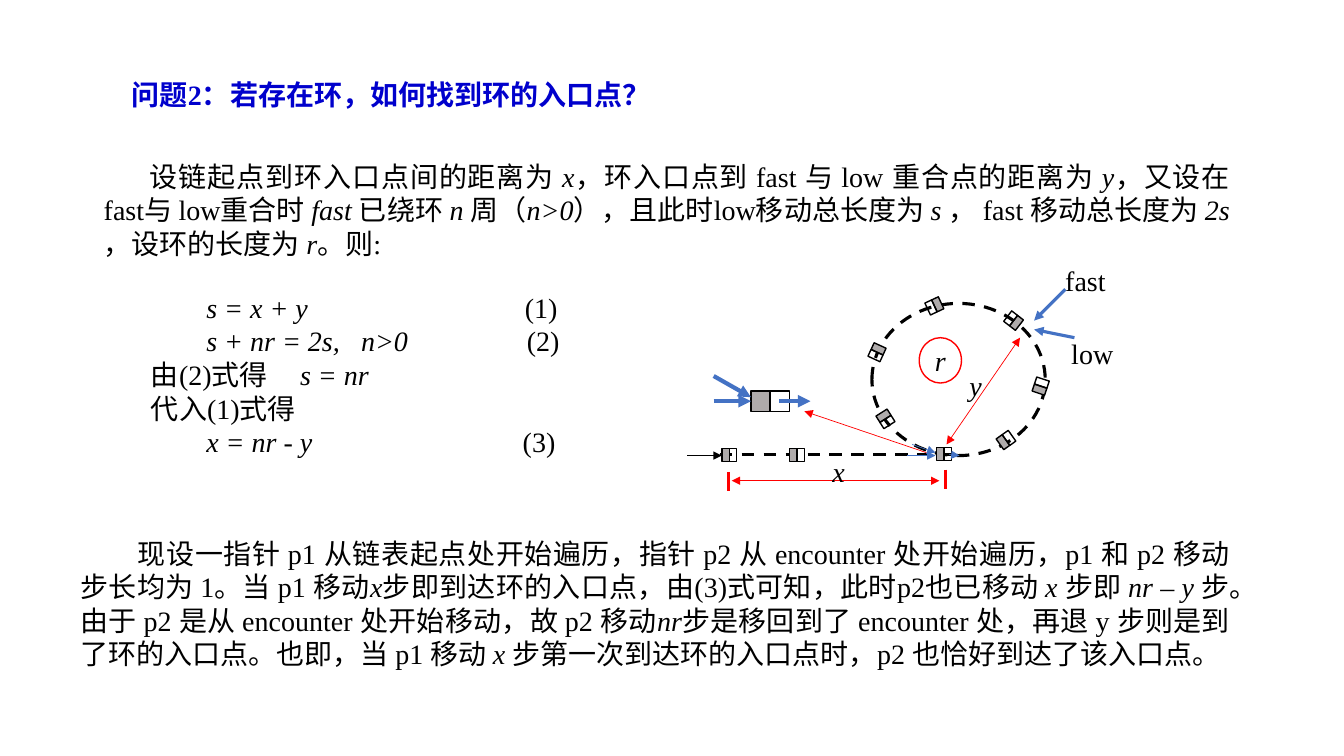
from math import cos, radians, sin

from lxml import etree
from pptx import Presentation
from pptx.dml.color import RGBColor
from pptx.enum.dml import MSO_LINE
from pptx.enum.shapes import MSO_CONNECTOR, MSO_SHAPE
from pptx.enum.text import MSO_ANCHOR, MSO_AUTO_SIZE, PP_ALIGN
from pptx.oxml.ns import qn
from pptx.util import Pt

RECT, OVAL = MSO_SHAPE.RECTANGLE, MSO_SHAPE.OVAL
STRAIGHT, DASH = MSO_CONNECTOR.STRAIGHT, MSO_LINE.DASH
LEFT, CENTER, JUSTIFY = PP_ALIGN.LEFT, PP_ALIGN.CENTER, PP_ALIGN.JUSTIFY
MIDDLE, GROW = MSO_ANCHOR.MIDDLE, MSO_AUTO_SIZE.SHAPE_TO_FIT_TEXT

BLACK = RGBColor(0x00, 0x00, 0x00)
TITLE_BLUE = RGBColor(0x00, 0x00, 0xCC)
POINTER_BLUE = RGBColor(0x44, 0x72, 0xC4)
RED = RGBColor(0xFF, 0x00, 0x00)
GREY = RGBColor(0xAF, 0xAB, 0xAB)
FONT, SIZE = "Times New Roman", 20

# Text content: parts between asterisks are italic
TITLE = "问题2：若存在环，如何找到环的入口点？"
SETUP = (
    "设链起点到环入口点间的距离为 *x*，环入口点到 fast 与 low 重合点的距离为 *y*，"
    "又设在 fast与 low重合时 *fast *已绕环 *n *周（*n>0*），且此时low移动总长度为 *s *，"
    " fast 移动总长度为 *2s *，设环的长度为 *r*。则:"
)
EQUATIONS = [
    # text, tab stops
    ("\t*s = x + y*\t(1)", (39.5, 267)),
    ("\t*s + nr = 2s,*\t*n>0*\t(2)", (39.5, 150, 268.5)),
    ("由(2)式得\t*s = nr*", (106.5,)),
    ("代入(1)式得", ()),
    ("\t*x = nr - y*\t(3)", (39.5, 265.5)),
]
CONCLUSION = (
    "现设一指针 p1 从链表起点处开始遍历，指针 p2 从 encounter 处开始遍历，"
    "p1 和 p2 移动步长均为 1。当 p1 移动*x*步即到达环的入口点，由(3)式可知，"
    "此时p2也已移动 *x *步即 *nr – y *步。由于 p2 是从 encounter 处开始移动，"
    "故 p2 移动*nr*步是移回到了 encounter 处，再退 y 步则是到了环的入口点。"
    "也即，当 p1 移动 *x *步第一次到达环的入口点时，p2 也恰好到达了该入口点。"
)
LABELS = [
    # text, left, top, width, wrap
    ("fast", 753.8, 185, 49, False),
    (" low", 753.1, 236.9, 61.2, True),
    ("*x*", 587.5, 321.1, 18, True),
    ("*y*", 685.4, 259.9, 23.8, False),
]

# Diagram content
RING = (622.8, 216.7, 123.8, 108.7)
RING_LABEL = (656.6, 241.2, 30.2, 32.4)
CELL, ENLARGED_CELL = (5.3, 9.4), (13.7, 14.4)
NODES = [
    # centre x, centre y, rotation, cell size
    (626.4, 251.6, 114.6, CELL),
    (667.4, 218.5, 154.9, CELL),
    (724, 229, 217.6, CELL),
    (743.4, 275.8, 288.3, CELL),
    (718.6, 314.3, 324.6, CELL),
    (674.3, 324.4, 0, CELL),
    (569.2, 325.1, 0, CELL),
    (520.9, 325.1, 0, CELL),
    (632.5, 299.2, 57.7, CELL),
    (550.1, 286.6, 0, ENLARGED_CELL),
]
TAIL_LINE = (514.1, 324.7, 681.8, 324.7)
LINES = [
    # from x, from y, to x, to y, colour, width, ends with arrowheads
    (491, 325.4, 515.5, 325.4, BLACK, 0.5, ("tailEnd",)),
    (678.2, 324.7, 685.4, 325.4, POINTER_BLUE, 0.5, ("tailEnd",)),
    (651.6, 317.5, 668.2, 323.3, POINTER_BLUE, 0.5, ("tailEnd",)),
    (648, 325.4, 668.2, 325.4, POINTER_BLUE, 0.5, ("tailEnd",)),
    (509.8, 268.6, 536.4, 283.7, POINTER_BLUE, 3, ("tailEnd",)),
    (509.8, 286.6, 536.4, 286.6, POINTER_BLUE, 3, ("tailEnd",)),
    (556.6, 286.6, 578.9, 286.6, POINTER_BLUE, 3, ("tailEnd",)),
    (761, 206.6, 738.7, 229, POINTER_BLUE, 2.25, ("tailEnd",)),
    (767.5, 241.2, 738.7, 235.4, POINTER_BLUE, 2.25, ("tailEnd",)),
    (661.7, 323.3, 574.6, 293.8, RED, 0.5, ("tailEnd",)),
    (520.6, 337, 520.6, 350.6, RED, 2.25, ()),
    (675.4, 335.5, 675.4, 349.2, RED, 2.25, ()),
    (522.7, 343.4, 671, 343.4, RED, 0.5, ("headEnd", "tailEnd")),
    (676.1, 317.5, 728.6, 241.2, RED, 0.5, ("headEnd", "tailEnd")),
]

prs = Presentation()
prs.slide_width, prs.slide_height = Pt(960), Pt(540)
slide = prs.slides.add_slide(prs.slide_layouts[6])
shapes = slide.shapes


def write(paragraph, text, color=BLACK, bold=False):
    for index, part in enumerate(text.split("*")):
        if part:
            run = paragraph.add_run()
            run.text = part
            run.font.name, run.font.size = FONT, Pt(SIZE)
            run.font.color.rgb = color
            run.font.bold, run.font.italic = bold, index % 2 == 1


def add_text_box(left, top, width, height=31.7, wrap=True):
    frame = shapes.add_textbox(Pt(left), Pt(top), Pt(width), Pt(height)).text_frame
    frame.word_wrap, frame.auto_size = wrap, GROW
    return frame


def add_passage(text, left, top, width, height, first_indent):
    paragraph = add_text_box(left, top, width, height).paragraphs[0]
    paragraph.alignment = JUSTIFY
    paragraph._p.get_or_add_pPr().set("indent", str(Pt(first_indent)))
    write(paragraph, text)


def add_outline(kind, left, top, width, height, color=BLACK, weight=1, fill=None):
    shape = shapes.add_shape(kind, Pt(left), Pt(top), Pt(width), Pt(height))
    shape.shadow.inherit = False
    if fill is None:
        shape.fill.background()
    else:
        shape.fill.solid()
        shape.fill.fore_color.rgb = fill
    shape.line.color.rgb, shape.line.width = color, Pt(weight)
    return shape


def add_line(x1, y1, x2, y2, color, weight, arrow_ends=()):
    line = shapes.add_connector(STRAIGHT, Pt(x1), Pt(y1), Pt(x2), Pt(y2))
    line.line.color.rgb, line.line.width = color, Pt(weight)
    for end in arrow_ends:
        etree.SubElement(line.line._get_or_add_ln(), qn("a:" + end), type="triangle")
    etree.SubElement(line._element.spPr, qn("a:effectLst"))
    return line


def add_node(x, y, angle, cell):
    """Grey data cell and clear link cell, side by side along the angle."""
    width, height = cell
    for side, fill in ((-0.5, GREY), (0.5, None)):
        cell_x = x + side * width * cos(radians(angle))
        cell_y = y + side * width * sin(radians(angle))
        add_outline(RECT, cell_x - width / 2, cell_y - height / 2,
                    width, height, fill=fill).rotation = angle


# Title and passages
write(add_text_box(87.1, 51.8, 390.2, wrap=False).paragraphs[0], TITLE, TITLE_BLUE, True)
add_passage(SETUP, 67, 110.2, 818.6, 79.9, 33)
add_passage(CONCLUSION, 50.4, 379.4, 835.2, 104.4, 41)

# Equations, aligned on tab stops
equations = add_text_box(100.8, 203.8, 313.9, 128.2)
for row, (text, stops) in enumerate(EQUATIONS):
    paragraph = equations.add_paragraph() if row else equations.paragraphs[0]
    if stops:
        tab_list = etree.SubElement(paragraph._p.get_or_add_pPr(), qn("a:tabLst"))
        for stop in stops:
            etree.SubElement(tab_list, qn("a:tab"), pos=str(Pt(stop)), algn="l")
    write(paragraph, text)

# Linked list with its ring
add_outline(OVAL, *RING, weight=2.25).line.dash_style = DASH
add_line(*TAIL_LINE, BLACK, 2.25).line.dash_style = DASH
for node in NODES:
    add_node(*node)
for line in LINES:
    add_line(*line)

# Diagram labels
for text, left, top, width, wrap in LABELS:
    paragraph = add_text_box(left, top, width, wrap=wrap).paragraphs[0]
    paragraph.alignment = LEFT
    write(paragraph, text)
ring_length = add_outline(OVAL, *RING_LABEL, color=RED).text_frame
ring_length.margin_left = ring_length.margin_right = 0
ring_length.vertical_anchor = MIDDLE
ring_length.paragraphs[0].alignment = CENTER
write(ring_length.paragraphs[0], "*r*")

prs.save("out.pptx")
